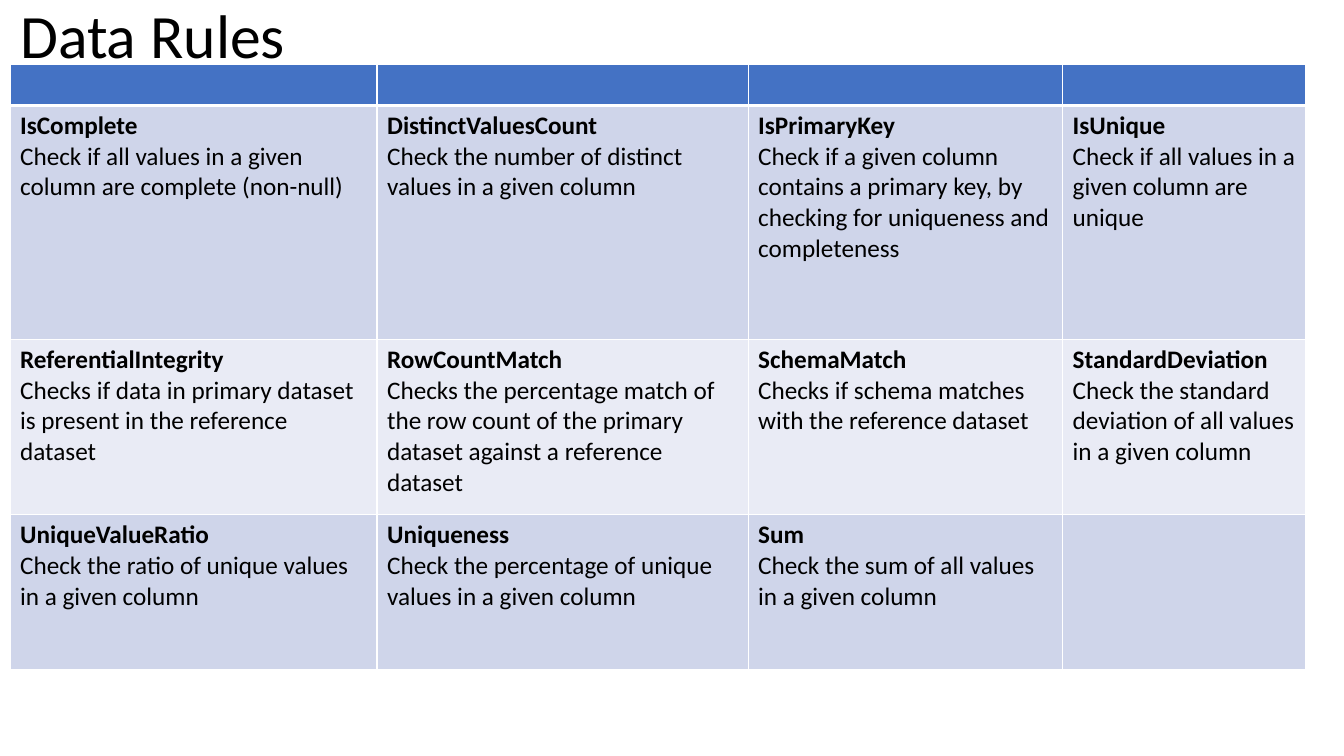
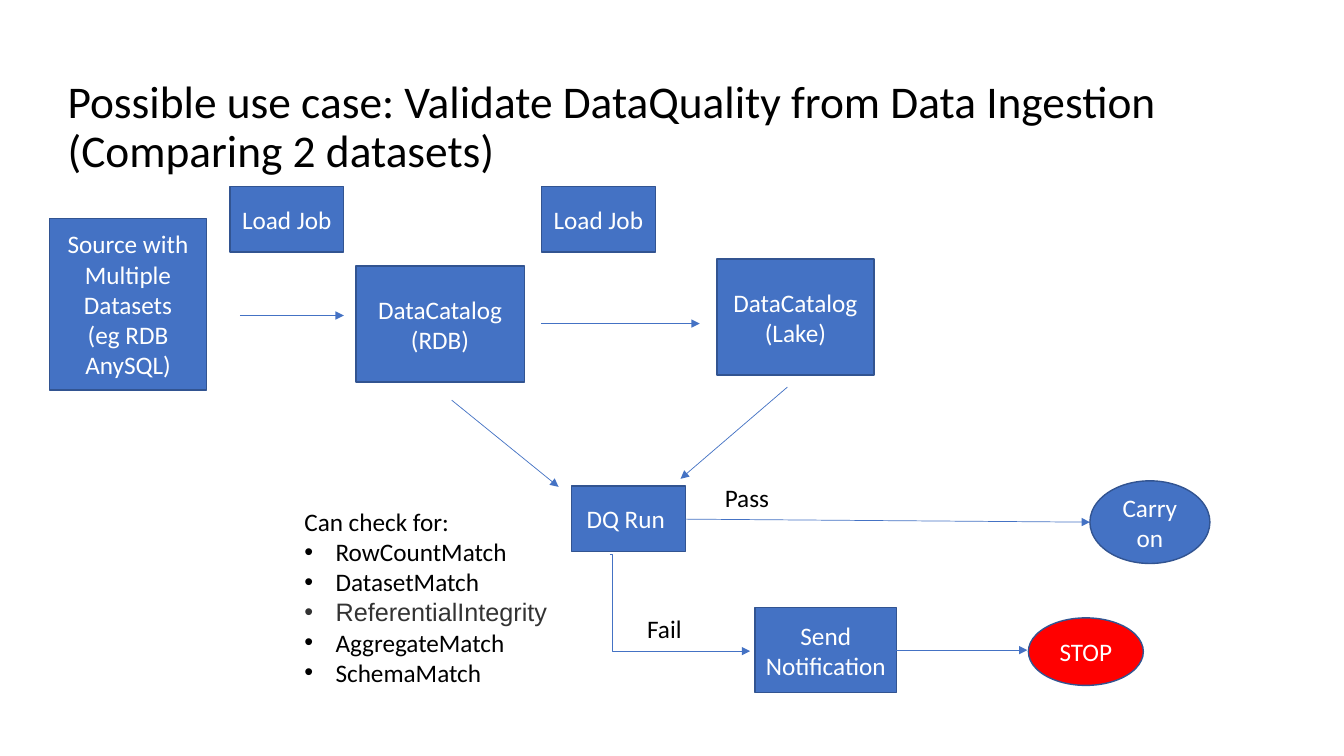
import dataclasses

import lxml.etree
import pptx
import pptx.dml.color
import pptx.enum.shapes
import pptx.enum.text
import pptx.oxml
import pptx.oxml.ns
import pptx.util

EMU_PER_PX = 9144  # 100 px to the inch
TITLE_ONLY = 5
ALIGN = pptx.enum.text.PP_ALIGN
ANCHOR = pptx.enum.text.MSO_ANCHOR
SHAPE = pptx.enum.shapes.MSO_SHAPE
CONNECTOR = pptx.enum.shapes.MSO_CONNECTOR


@dataclasses.dataclass(frozen=True)
class Theme:
    font: str = "Calibri"
    alt_font: str = "Arial"
    ink: str = "000000"
    grey: str = "333333"
    paper: str = "FFFFFF"
    accent: str = "4472C4"
    outline: str = "325491"
    stop: str = "FF0000"
    bands: tuple = ("CFD5EA", "E9EBF5")
    title_size: float = 44
    long_title_size: float = 32.4
    body_size: float = 18
    arrow_width: float = 0.5
    outline_width: float = 1
    rule_width: float = 1
    header_rule_width: float = 3


THEME = Theme()


@dataclasses.dataclass(frozen=True)
class Box:
    left: int
    top: int
    width: int
    height: int

    def emu(self):
        return [px(v) for v in dataclasses.astuple(self)]

    def inner(self, left, top, width, height):
        return Box(self.left + left, self.top + top, width, height)

    def point(self, x, y):
        return px(self.left + x), px(self.top + y)


RULES = [
    [("IsComplete", "Check if all values in a given column are complete (non-null)"),
     ("DistinctValuesCount", "Check the number of distinct values in a given column"),
     ("IsPrimaryKey", "Check if a given column contains a primary key, "
                      "by checking for uniqueness and completeness"),
     ("IsUnique", "Check if all values in a given column are unique")],
    [("ReferentialIntegrity", "Checks if data in primary dataset is present in the reference dataset"),
     ("RowCountMatch", "Checks the percentage match of the row count of the primary dataset "
                       "against a reference dataset"),
     ("SchemaMatch", "Checks if schema matches with the reference dataset"),
     ("StandardDeviation", "Check the standard deviation of all values in a given column")],
    [("UniqueValueRatio", "Check the ratio of unique values in a given column"),
     ("Uniqueness", "Check the percentage of unique values in a given column"),
     ("Sum", "Check the sum of all values in a given column"),
     ()],
]
COLUMN_WIDTHS = [364, 368, 312, 241]
ROW_HEIGHTS = [40, 232, 174, 154]

# Places below are relative to the flow's own box.
STEPS = [
    (SHAPE.RECTANGLE, (0, 32, 156, 170), THEME.accent,
     ["Source with Multiple Datasets", "(eg RDB AnySQL)"]),
    (SHAPE.RECTANGLE, (179, 0, 113, 65), THEME.accent, ["Load Job"]),
    (SHAPE.RECTANGLE, (304, 79, 167, 115), THEME.accent, ["DataCatalog (RDB)"]),
    (SHAPE.RECTANGLE, (488, 0, 113, 65), THEME.accent, ["Load Job"]),
    (SHAPE.RECTANGLE, (662, 72, 156, 115), THEME.accent, ["DataCatalog", "(Lake)"]),
    (SHAPE.RECTANGLE, (518, 297, 113, 65), THEME.accent, ["DQ Run "]),
    (SHAPE.OVAL, (1032, 292, 119, 82), THEME.accent, ["Carry on"]),
    (SHAPE.RECTANGLE, (700, 418, 140, 84), THEME.accent, ["Send Notification"]),
    (SHAPE.OVAL, (971, 428, 114, 67), THEME.stop, ["STOP"]),
]
ARROWS = [
    ((189, 128), (292, 128)),
    ((488, 136), (645, 136)),
    ((399, 212), (505, 298)),
    ((732, 199), (626, 290)),
    ((832, 460), (970, 460)),
    ((630, 330), (1032, 333)),
]
FAIL_ARROW = ((556, 365), (695, 461))
FAIL_BEND = 1800  # thousandths of a percent of the arrow's width, over ten
LABELS = [("Pass", (660, 289, 104, 40)), ("Fail", (583, 419, 124, 40))]

CHECKS = ["RowCountMatch", "DatasetMatch", "ReferentialIntegrity", "AggregateMatch", "SchemaMatch"]
CHECK_FORMATS = {"ReferentialIntegrity": {"name": THEME.alt_font, "color": THEME.grey}}
BULLET_INDENT = 31


def px(length):
    return pptx.util.Emu(length * EMU_PER_PX)


def rgb(value):
    return pptx.dml.color.RGBColor.from_string(value)


def set_all(target, values):
    for name, value in values.items():
        setattr(target, name, value)


def paint(fill, color):
    fill.solid()
    fill.fore_color.rgb = rgb(color)


def sub(parent, tag, **attributes):
    return lxml.etree.SubElement(parent, pptx.oxml.ns.qn(tag), attributes)


def style_font(font, color=THEME.ink, **values):
    set_all(font, {"name": THEME.font, "size": pptx.util.Pt(THEME.body_size), **values})
    font.color.rgb = rgb(color)


def write(frame, lines, align=ALIGN.LEFT, **frame_values):
    """Fill a text frame with one paragraph for each (text, font format) pair."""
    set_all(frame, {"word_wrap": True, **frame_values})
    for number, (text, font_format) in enumerate(lines):
        para = frame.add_paragraph() if number else frame.paragraphs[0]
        para.alignment = align
        para.text = text
        for span in para.runs:
            style_font(span.font, **font_format)


def add_titled_slide(deck, box, text, size):
    page = deck.slides.add_slide(deck.slide_layouts[TITLE_ONLY])
    title = page.shapes.title
    set_all(title, dict(zip(("left", "top", "width", "height"), box.emu())))
    write(title.text_frame, [(text, {"size": pptx.util.Pt(size)})],
          vertical_anchor=ANCHOR.MIDDLE, auto_size=pptx.enum.text.MSO_AUTO_SIZE.NONE)
    title.text_frame.paragraphs[0].line_spacing = 0.9
    return page


def add_text(page, box, lines):
    area = page.shapes.add_textbox(*box.emu())
    write(area.text_frame, lines)
    return area.text_frame


def rule_cell(cell, widths):
    """Draw white cell borders; widths are points for left, right, top, bottom."""
    properties = cell._tc.get_or_add_tcPr()
    for position, (side, width) in enumerate(zip("LRTB", widths)):
        line = sub(properties, f"a:ln{side}", w=str(pptx.util.Pt(width)))
        sub(sub(line, "a:solidFill"), "a:srgbClr", val=THEME.paper)
        properties.insert(position, line)


def add_rules_table(page, box):
    rows = [[()] * len(COLUMN_WIDTHS)] + RULES
    table = page.shapes.add_table(len(rows), len(COLUMN_WIDTHS), *box.emu()).table
    for column, width in zip(table.columns, COLUMN_WIDTHS):
        column.width = px(width)
    for r, (row, height) in enumerate(zip(rows, ROW_HEIGHTS)):
        table.rows[r].height = px(height)
        color = THEME.bands[(r - 1) % 2] if r else THEME.accent
        top = THEME.header_rule_width if r == 1 else THEME.rule_width
        bottom = THEME.header_rule_width if r == 0 else THEME.rule_width
        for c, texts in enumerate(row):
            cell = table.cell(r, c)
            paint(cell.fill, color)
            rule_cell(cell, (THEME.rule_width, THEME.rule_width, top, bottom))
            write(cell.text_frame, [(text, {"bold": n == 0}) for n, text in enumerate(texts)])


def add_step(page, kind, box, color, texts):
    step = page.shapes.add_shape(kind, *box.emu())
    step.shadow.inherit = False
    paint(step.fill, color)
    paint(step.line.fill, THEME.outline)
    step.line.width = pptx.util.Pt(THEME.outline_width)
    write(step.text_frame, [(text, {"color": THEME.paper}) for text in texts],
          ALIGN.CENTER, vertical_anchor=ANCHOR.MIDDLE)


def add_arrow(page, box, start, end, kind=CONNECTOR.STRAIGHT):
    arrow = page.shapes.add_connector(kind, *box.point(*start), *box.point(*end))
    paint(arrow.line.fill, THEME.accent)
    arrow.line.width = pptx.util.Pt(THEME.arrow_width)
    sub(arrow.line._get_or_add_ln(), "a:tailEnd", type="triangle")
    sub(arrow._element.spPr, "a:effectLst")
    return arrow


def add_flow(page, box):
    for kind, place, color, texts in STEPS:
        add_step(page, kind, box.inner(*place), color, texts)
    for start, end in ARROWS:
        add_arrow(page, box, start, end)
    elbow = add_arrow(page, box, *FAIL_ARROW, CONNECTOR.ELBOW)
    geometry = elbow._element.spPr.find(pptx.oxml.ns.qn("a:prstGeom"))
    guides = geometry.find(pptx.oxml.ns.qn("a:avLst"))
    if guides is None:
        guides = sub(geometry, "a:avLst")
    sub(guides, "a:gd", name="adj1", fmla=f"val {FAIL_BEND}")
    for text, place in LABELS:
        add_text(page, box.inner(*place), [(text, {})])


def add_checklist(page, box):
    lines = [("Can check for:", {})] + [(name, CHECK_FORMATS.get(name, {})) for name in CHECKS]
    frame = add_text(page, box, lines)
    for para in frame.paragraphs[1:]:
        properties = para._p.get_or_add_pPr()
        properties.set("marL", str(px(BULLET_INDENT)))
        properties.set("indent", str(-px(BULLET_INDENT)))
        sub(properties, "a:buFont", typeface=THEME.alt_font)
        sub(properties, "a:buChar", char="•")


def main():
    deck = pptx.Presentation()
    set_all(deck, {"slide_width": px(1333), "slide_height": px(750)})

    page = add_titled_slide(deck, Box(10, -6, 1150, 88), "Data Rules", THEME.title_size)
    add_rules_table(page, Box(10, 64, sum(COLUMN_WIDTHS), sum(ROW_HEIGHTS)))

    page = add_titled_slide(
        deck, Box(57, 55, 1150, 145),
        "Possible use case: Validate DataQuality from Data Ingestion\v(Comparing 2 datasets)",
        THEME.long_title_size)
    add_flow(page, Box(49, 185, 1151, 502))
    add_checklist(page, Box(292, 497, 285, 192))

    deck.save("out.pptx")


if __name__ == "__main__":
    main()
